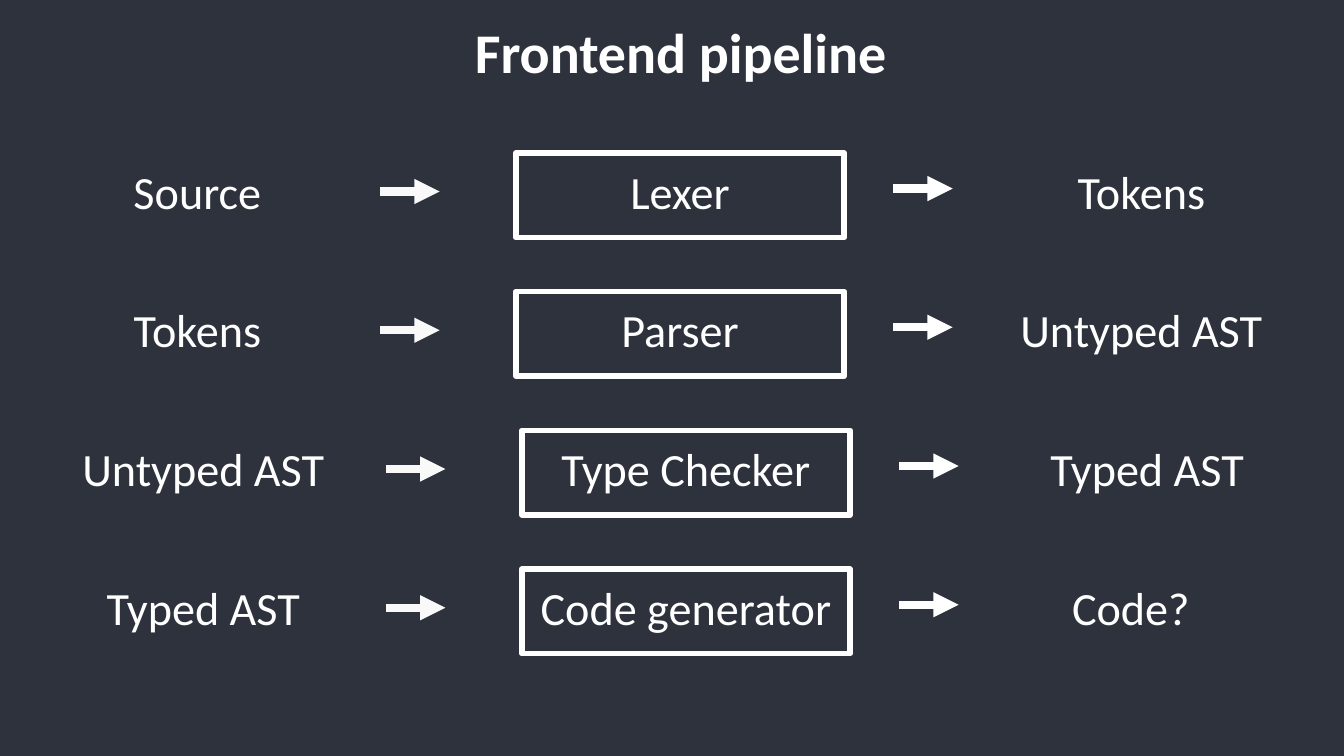
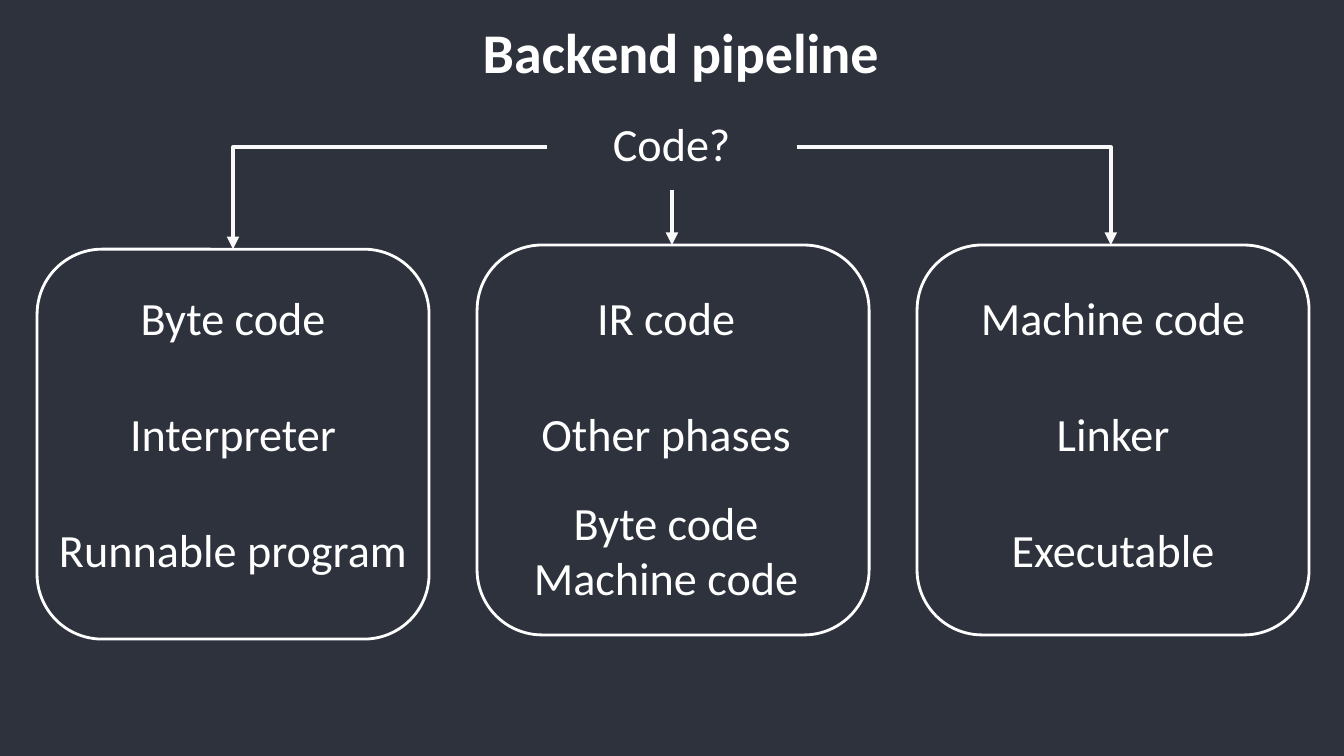
"""Two slides on the stages of a compiler: frontend and backend."""
from dataclasses import dataclass

from pptx import Presentation
from pptx.dml.color import RGBColor
from pptx.enum.shapes import MSO_CONNECTOR, MSO_SHAPE
from pptx.enum.text import MSO_ANCHOR, PP_ALIGN
from pptx.oxml.ns import qn
from pptx.oxml.xmlchemy import OxmlElement
from pptx.presentation import Presentation as Deck
from pptx.shapes.autoshape import Shape
from pptx.slide import Slide
from pptx.text.text import TextFrame
from pptx.util import Pt

RECTANGLE = MSO_SHAPE.RECTANGLE
ROUNDED = MSO_SHAPE.ROUNDED_RECTANGLE
STRAIGHT = MSO_CONNECTOR.STRAIGHT
ELBOW = MSO_CONNECTOR.ELBOW
TOP = MSO_ANCHOR.TOP
MIDDLE = MSO_ANCHOR.MIDDLE
CENTER = PP_ALIGN.CENTER


@dataclass(frozen=True)
class Theme:
    """Colours, font, type sizes and line widths, in points."""
    background: RGBColor = RGBColor(0x2D, 0x32, 0x3C)
    white: RGBColor = RGBColor(0xFF, 0xFF, 0xFF)
    off_white: RGBColor = RGBColor(0xF9, 0xF9, 0xF9)
    font: str = "Calibri"
    title_size: float = 40
    body_size: float = 33
    stage_line: float = 4
    card_line: float = 2
    stage_arrow: float = 6
    branch_arrow: float = 3


@dataclass(frozen=True)
class Box:
    """A rectangle on the slide, in points."""
    left: float
    top: float
    width: float
    height: float = 60.5


@dataclass(frozen=True)
class Stage:
    """One row of the frontend pipeline."""
    source: str
    name: str
    result: str
    shift: float = 0
    result_left: float = 712
    result_width: float = 206.5


@dataclass(frozen=True)
class Card:
    """One branch of the backend pipeline."""
    steps: tuple[str, ...]
    top: float = 175
    text_indent: float = 5


THEME = Theme()
SLIDE_WIDTH, SLIDE_HEIGHT = 960, 540
TITLE_BOX = Box(82, 5, 808.5)

STAGE_TOP, STAGE_PITCH = 109.2, 99.1
STAGES = (
    Stage("Source", "Lexer", "Tokens"),
    Stage("Tokens", "Parser", "Untyped AST"),
    Stage("Untyped AST", "Type Checker", "Typed AST", shift=4.2),
    Stage("Typed AST", "Code generator", "Code?", shift=4.2,
          result_left=714.3, result_width=178.5),
)

CARD_LEFT, CARD_PITCH = 26.5, 314.3
CARD_WIDTH, CARD_HEIGHT = 280, 278.5
STEP_TOP, STEP_PITCH = 196, 83.1
CODE_BOX = Box(390.5, 75, 178.5)
CARDS = (
    Card(("Byte code", "Interpreter", "Runnable program"), top=178),
    Card(("IR code", "Other phases", "Byte code Machine code"),
         text_indent=0),
    Card(("Machine code", "Linker", "Executable")),
)


def write_text(frame: TextFrame, text: str, *,
               size: float = THEME.body_size, bold: bool = False,
               anchor: MSO_ANCHOR = TOP) -> None:
    """Put one centred paragraph into a text frame."""
    frame.word_wrap = True
    frame.vertical_anchor = anchor
    frame.margin_left = frame.margin_right = Pt(7.2)
    frame.margin_top = frame.margin_bottom = Pt(7.2)
    paragraph = frame.paragraphs[0]
    paragraph.alignment = CENTER
    run = paragraph.add_run()
    run.text = text
    run.font.name = THEME.font
    run.font.size = Pt(size)
    run.font.bold = bold
    run.font.color.rgb = THEME.white


def add_label(slide: Slide, text: str, box: Box, *,
              size: float = THEME.body_size, bold: bool = False,
              anchor: MSO_ANCHOR = TOP) -> None:
    """Add a text box without fill or outline."""
    label = slide.shapes.add_textbox(
        Pt(box.left), Pt(box.top), Pt(box.width), Pt(box.height))
    write_text(label.text_frame, text, size=size, bold=bold, anchor=anchor)


def add_outline(slide: Slide, kind: MSO_SHAPE, box: Box,
                line_width: float) -> Shape:
    """Add a shape in the background colour with a white outline."""
    shape = slide.shapes.add_shape(
        kind, Pt(box.left), Pt(box.top), Pt(box.width), Pt(box.height))
    shape.shadow.inherit = False
    shape.fill.solid()
    shape.fill.fore_color.rgb = THEME.background
    shape.line.color.rgb = THEME.white
    shape.line.width = Pt(line_width)
    return shape


def add_arrow(slide: Slide, start: tuple[float, float],
              end: tuple[float, float], *, width: float,
              color: RGBColor = THEME.off_white) -> None:
    """Add an arrow, with one corner when the ends are not aligned."""
    bent = start[0] != end[0] and start[1] != end[1]
    arrow = slide.shapes.add_connector(
        ELBOW if bent else STRAIGHT,
        Pt(start[0]), Pt(start[1]), Pt(end[0]), Pt(end[1]))
    arrow.line.color.rgb = color
    arrow.line.width = Pt(width)
    head = OxmlElement("a:tailEnd")
    head.set("type", "triangle")
    arrow.line._get_or_add_ln().append(head)
    properties = arrow._element.spPr
    properties.append(OxmlElement("a:effectLst"))
    if bent:
        properties.find(qn("a:prstGeom")).set("prst", "bentConnector2")


def add_titled_slide(presentation: Deck, title: str) -> Slide:
    """Add a blank slide with the shared background and title."""
    slide = presentation.slides.add_slide(presentation.slide_layouts[6])
    slide.background.fill.solid()
    slide.background.fill.fore_color.rgb = THEME.background
    add_label(slide, title, TITLE_BOX, size=THEME.title_size, bold=True)
    return slide


def add_stage(slide: Slide, stage: Stage, top: float) -> None:
    """Draw a row: input, arrow, stage, arrow, result."""
    shift = stage.shift
    add_label(slide, stage.source, Box(44.5 + shift, top, 193))
    shape = add_outline(slide, RECTANGLE, Box(368.5 + shift, top, 234.5),
                        THEME.stage_line)
    write_text(shape.text_frame, stage.name)
    add_label(slide, stage.result,
              Box(stage.result_left + shift, top, stage.result_width))
    for left, drop, color in ((271.5, 27.6, THEME.off_white),
                              (638, 25.5, THEME.white)):
        start = left + shift
        add_arrow(slide, (start, top + drop), (start + 42.5, top + drop),
                  width=THEME.stage_arrow, color=color)


def add_card(slide: Slide, card: Card, left: float) -> None:
    """Draw a rounded card with its steps."""
    add_outline(slide, ROUNDED,
                Box(left, card.top, CARD_WIDTH, CARD_HEIGHT),
                THEME.card_line)
    for index, step in enumerate(card.steps):
        box = Box(left + card.text_indent,
                  STEP_TOP + index * STEP_PITCH, 270)
        add_label(slide, step, box, anchor=MIDDLE)


def build_frontend(presentation: Deck) -> None:
    """Build the slide of frontend stages."""
    slide = add_titled_slide(presentation, "Frontend pipeline")
    for index, stage in enumerate(STAGES):
        add_stage(slide, stage, STAGE_TOP + index * STAGE_PITCH)


def build_backend(presentation: Deck) -> None:
    """Build the slide of backend branches."""
    slide = add_titled_slide(presentation, "Backend pipeline")
    add_label(slide, "Code?", CODE_BOX)
    for index, card in enumerate(CARDS):
        add_card(slide, card, CARD_LEFT + index * CARD_PITCH)

    center = SLIDE_WIDTH / 2
    left_tip = CARD_LEFT + CARD_WIDTH / 2
    code_right = CODE_BOX.left + CODE_BOX.width
    code_middle = CODE_BOX.top + CODE_BOX.height / 2
    code_bottom = CODE_BOX.top + CODE_BOX.height
    starts = ((CODE_BOX.left, code_middle), (center, code_bottom),
              (code_right, code_middle))
    tips = (left_tip, center, SLIDE_WIDTH - left_tip)
    for start, tip, card in zip(starts, tips, CARDS):
        add_arrow(slide, start, (tip, card.top), width=THEME.branch_arrow)


def main() -> None:
    """Build and save the presentation."""
    presentation = Presentation()
    presentation.slide_width = Pt(SLIDE_WIDTH)
    presentation.slide_height = Pt(SLIDE_HEIGHT)
    build_frontend(presentation)
    build_backend(presentation)
    presentation.save("out.pptx")


main()
